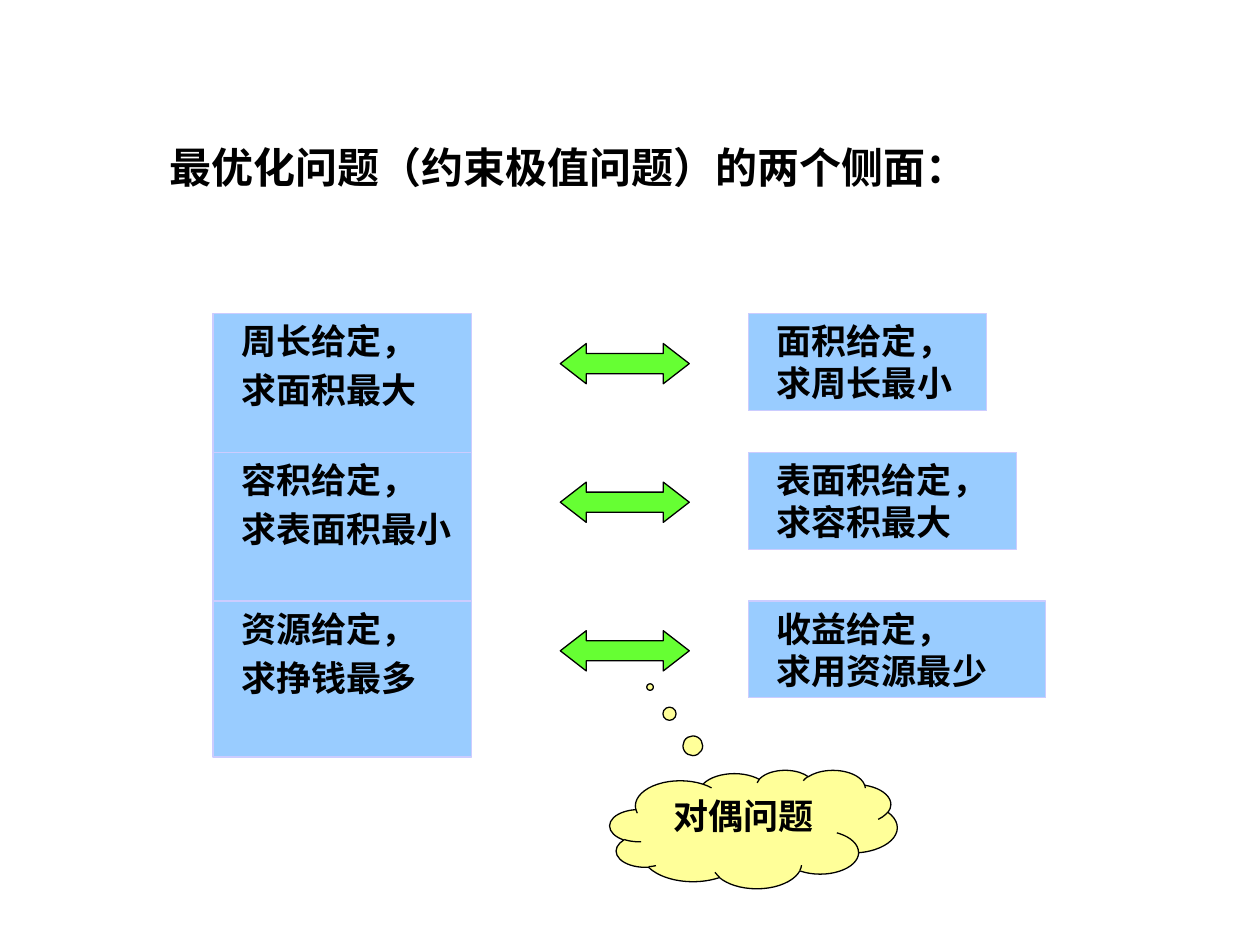
from pptx import Presentation
from pptx.dml.color import RGBColor
from pptx.enum.shapes import MSO_SHAPE
from pptx.enum.text import MSO_ANCHOR, MSO_AUTO_SIZE, PP_ALIGN
from pptx.util import Pt

COLORS = {
    "text": "000000",
    "problem": "99CCFF",
    "problem_edge": "CCCCFF",
    "arrow": "66FF33",
    "cloud": "FFFF99",
    "outline": "000000",
}

PROBLEM_PAIRS = [
    (179.3, ["周长给定，", "求面积最大"], ["面积给定，", "求周长最小"], 136.1),
    (258.5, ["容积给定，", "求表面积最小"], ["表面积给定，", "求容积最大"], 153.4),
    (343.4, ["资源给定，", "求挣钱最多"], ["收益给定，", "求用资源最少"], 169.9),
]


def color(name):
    return RGBColor.from_string(COLORS[name])


def write(shape, lines, size, font="Arial", align=PP_ALIGN.LEFT, indent=0, gap=0):
    frame = shape.text_frame
    frame.auto_size = MSO_AUTO_SIZE.NONE
    frame.word_wrap = True
    frame.vertical_anchor = MSO_ANCHOR.TOP
    frame.margin_left = Pt(7.2 + indent)
    frame.margin_right = Pt(7.2)
    frame.margin_top = frame.margin_bottom = Pt(3.6)
    frame.text = "\n".join(lines)
    for index, paragraph in enumerate(frame.paragraphs):
        paragraph.alignment = align
        paragraph.space_before = Pt(gap if index else 0)
        for run in paragraph.runs:
            run.font.name = font
            run.font.size = Pt(size)
            run.font.bold = True
            run.font.color.rgb = color("text")


def add_title(slide, wording):
    title = slide.shapes.title
    title.left, title.top, title.width, title.height = Pt(68.4), Pt(77), Pt(591), Pt(36)
    write(title, [wording], 24, indent=21.5)


def add_figure(slide, preset, left, top, width, height, fill, edge, adjustments=()):
    figure = slide.shapes.add_shape(preset, Pt(left), Pt(top), Pt(width), Pt(height))
    figure.shadow.inherit = False
    figure.fill.solid()
    figure.fill.fore_color.rgb = color(fill)
    figure.line.color.rgb = color(edge)
    figure.line.width = Pt(0.75)
    for index, value in enumerate(adjustments):
        figure.adjustments[index] = value
    return figure


def add_problem(slide, left, top, width, height, lines, gap=0):
    problem = add_figure(slide, MSO_SHAPE.RECTANGLE, left, top, width, height,
                         "problem", "problem_edge")
    write(problem, lines, 20, indent=9, gap=gap)


def add_pair(slide, top, primal, dual, dual_width):
    add_problem(slide, 121.7, top, 147.6, 89.3, primal, gap=4)
    add_problem(slide, 427.7, top, dual_width, 55.4, dual)
    add_figure(slide, MSO_SHAPE.LEFT_RIGHT_ARROW, 320.2, top + 17, 73.7, 23,
               "arrow", "outline", (0.5, 0.645))


def add_thought(slide, wording):
    cloud = add_figure(slide, MSO_SHAPE.CLOUD_CALLOUT, 348.5, 440, 164.2, 67.7,
                       "cloud", "outline", (-0.36, -1.2))
    write(cloud, [wording], 20, font="Times New Roman", align=PP_ALIGN.CENTER)


def main():
    presentation = Presentation()
    presentation.slide_width, presentation.slide_height = Pt(720), Pt(540)
    slide = presentation.slides.add_slide(presentation.slide_layouts[5])
    add_title(slide, "最优化问题（约束极值问题）的两个侧面：")
    for pair in PROBLEM_PAIRS:
        add_pair(slide, *pair)
    add_thought(slide, "对偶问题")
    presentation.save("out.pptx")


if __name__ == "__main__":
    main()
